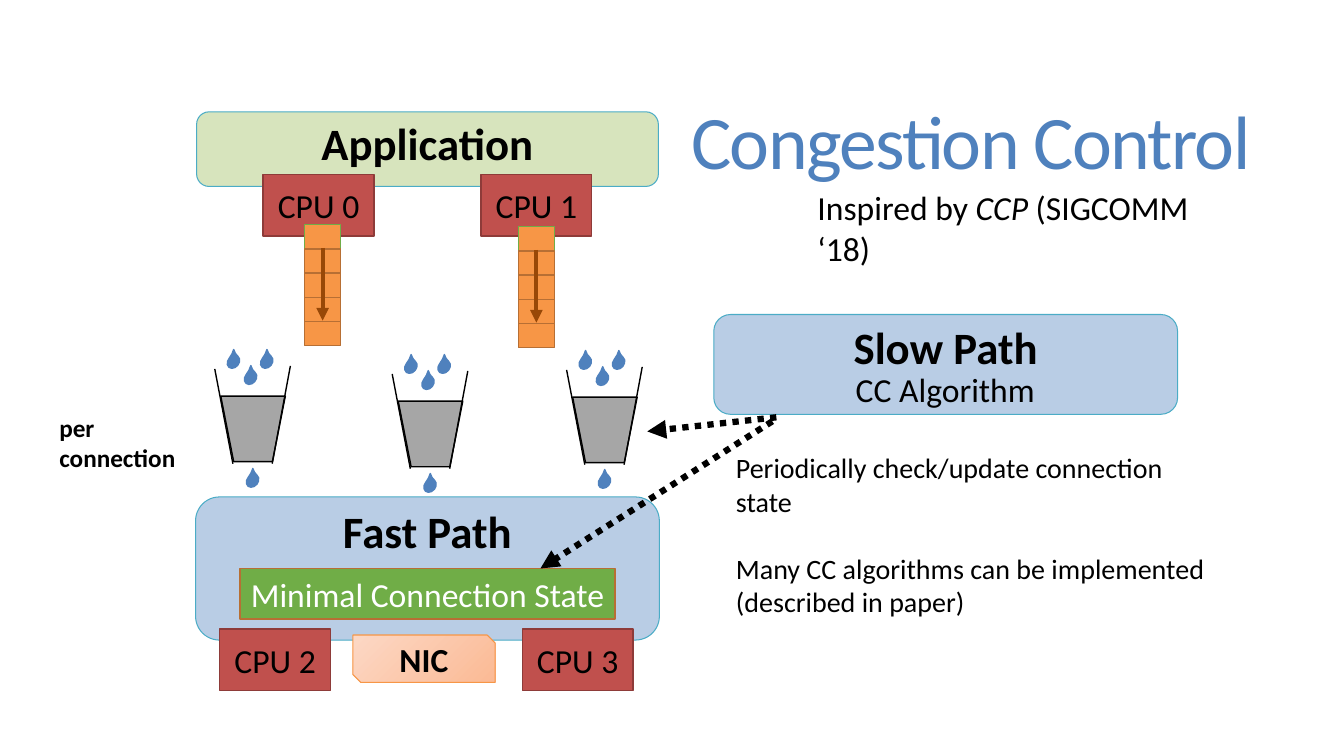
from lxml import etree
from pptx import Presentation
from pptx.dml.color import RGBColor
from pptx.enum.dml import MSO_LINE_DASH_STYLE as Dash
from pptx.enum.shapes import MSO_CONNECTOR, MSO_SHAPE as Shape
from pptx.enum.text import MSO_ANCHOR as Anchor, PP_ALIGN as Align
from pptx.oxml.ns import qn
from pptx.util import Pt

PX = 9144  # 100 px to the inch
COLORS = {
    "black": "000000", "white": "FFFFFF", "title": "4F81BD", "water": "4F81BD",
    "app": "D7E4BD", "path": "B9CDE5", "path_edge": "4BACC6",
    "state": "70AD47", "rust": "B76F34", "cpu": "C0504D", "cpu_edge": "8E3B39",
    "nic_light": "FCD8C5", "nic_dark": "FBBA95", "orange": "F79646",
    "queue_arrow": "984807", "bucket": "A6A6A6",
}
rgb = {name: RGBColor.from_string(value) for name, value in COLORS.items()}

prs = Presentation()
prs.slide_width, prs.slide_height = 1333 * PX, 750 * PX
slide = prs.slides.add_slide(prs.slide_layouts[6])


def add_block(parent, kind, box, fill, edge, weight=1, label="", size=24,
              bold=False, color="black", anchor=Anchor.MIDDLE):
    block = parent.add_shape(kind, *(v * PX for v in box))
    block.shadow.inherit = False
    block.fill.solid()
    block.fill.fore_color.rgb = rgb[fill]
    block.line.color.rgb = rgb[edge]
    block.line.width = Pt(weight)
    if label:
        frame = block.text_frame
        frame.text = label
        frame.vertical_anchor = anchor
        if anchor == Anchor.TOP:
            frame.margin_top = 0
        para = frame.paragraphs[0]
        para.alignment = Align.CENTER
        para.font.name, para.font.size = "Calibri", Pt(size)
        para.font.bold, para.font.color.rgb = bold, rgb[color]
    return block


def add_stroke(parent, start, end, color="black", weight=1, arrow=False, dash=None):
    stroke = parent.add_connector(MSO_CONNECTOR.STRAIGHT,
                                  *(v * PX for v in (*start, *end)))
    stroke.line.color.rgb = rgb[color]
    stroke.line.width = Pt(weight)
    if dash:
        stroke.line.dash_style = dash
    if arrow:
        etree.SubElement(stroke.line._get_or_add_ln(), qn("a:tailEnd"), type="triangle")
    etree.SubElement(stroke._element.spPr, qn("a:effectLst"))


# Layers of the stack
for label, box, fill in [
    ("Application", (195, 111, 458, 74), "app"),
    ("Slow Path", (708, 312, 460, 99), "path"),
    ("Fast Path", (194, 493, 460, 142), "path"),
]:
    add_block(slide.shapes, Shape.ROUNDED_RECTANGLE, box, fill, "path_edge", 0.75,
              label, 32, True, anchor=Anchor.TOP)

add_block(slide.shapes, Shape.RECTANGLE, (238, 564, 372, 50), "state", "rust",
          label="Minimal Connection State", color="white")

for label, left, top in [("CPU 2", 218, 624), ("CPU 3", 518, 624),
                         ("CPU 0", 261, 173), ("CPU 1", 477, 173)]:
    add_block(slide.shapes, Shape.RECTANGLE, (left, top, 110, 61), "cpu", "cpu_edge",
              label=label)

nic = add_block(slide.shapes, Shape.SNIP_2_DIAG_RECTANGLE, (350, 630, 141, 47),
                "nic_light", "orange", 0.75, "NIC", bold=True)
nic.fill.gradient()
nic.fill.gradient_angle = 315
for stop, color, position in zip(nic.fill.gradient_stops, ("nic_light", "nic_dark"), (0, 1)):
    stop.color.rgb = rgb[color]
    stop.position = position

# Slow path updates of connection state and rate buckets
for start, end in [((766, 418), (536, 564)), ((770, 414), (642, 428))]:
    add_stroke(slide.shapes, start, end, weight=4.5, arrow=True,
               dash=Dash.ROUND_DOT)

# Rate buckets, one per connection
for left, top in [(395, 398), (568, 394), (219, 393)]:
    add_block(slide.shapes, Shape.FLOWCHART_MANUAL_OPERATION, (left, top, 64, 65),
              "bucket", "black")
    for bottom_x, rim_x, rim_y in [(12, -6, -27), (51, 69, -30)]:
        add_stroke(slide.shapes, (left + bottom_x, top + 67), (left + rim_x, top + rim_y))
    for dx, dy in [(7, -41), (24, -25), (40, -41), (26, 77)]:
        drop = add_block(slide.shapes, Shape.TEAR, (left + dx, top + dy, 11, 14),
                         "water", "water")
        drop.adjustments[0] = 1.37
        drop.rotation = 219.2
        drop._element.spPr.find(qn("a:xfrm")).set("flipV", "1")

# Queues from the application cores
for left, top in [(514, 225), (302, 223)]:
    queue = slide.shapes.add_group_shape().shapes
    for slot in range(5):
        add_block(queue, Shape.RECTANGLE, (left, top + 24 * slot, 36, 24), "orange",
                  "rust" if slot else "state")
    add_stroke(queue, (left + 18, top + 23), (left + 18, top + 95), "queue_arrow", 3, True)

# Title and notes; each paragraph is a list of (text, italic) runs
for box, paragraphs, size, color, bold, align, anchor in [
    ((72, 55, 1178, 181), [[("Congestion Control", False)]],
     54, "title", False, Align.RIGHT, Anchor.MIDDLE),
    ((720, 442, 495, 145), [[("Periodically check/update connection state", False)],
                            [("Many CC algorithms can be implemented", False)],
                            [("(described in paper)", False)]],
     20, "black", False, Align.LEFT, Anchor.TOP),
    ((49, 404, 173, 40), [[("per connection", False)]],
     18, "black", True, Align.LEFT, Anchor.TOP),
    ((825, 361, 225, 59), [[("CC Algorithm", False)]],
     24, "black", False, Align.CENTER, Anchor.TOP),
    ((801, 181, 430, 50), [[("Inspired by ", False), ("CCP", True), (" (SIGCOMM ‘18)", False)]],
     24, "black", False, Align.LEFT, Anchor.TOP),
]:
    frame = slide.shapes.add_textbox(*(v * PX for v in box)).text_frame
    frame.word_wrap = True
    frame.vertical_anchor = anchor
    for index, runs in enumerate(paragraphs):
        para = frame.add_paragraph() if index else frame.paragraphs[0]
        para.alignment = align
        para.font.name, para.font.size = "Calibri", Pt(size)
        para.font.bold, para.font.color.rgb = bold, rgb[color]
        if index == 1:
            para.space_before = Pt(24)
        for text, italic in runs:
            run = para.add_run()
            run.text = text
            if italic:
                run.font.italic = True
        if color == "title":
            para.line_spacing = 0.85
            para.runs[0].font._element.set("spc", "-120")

prs.save("out.pptx")
